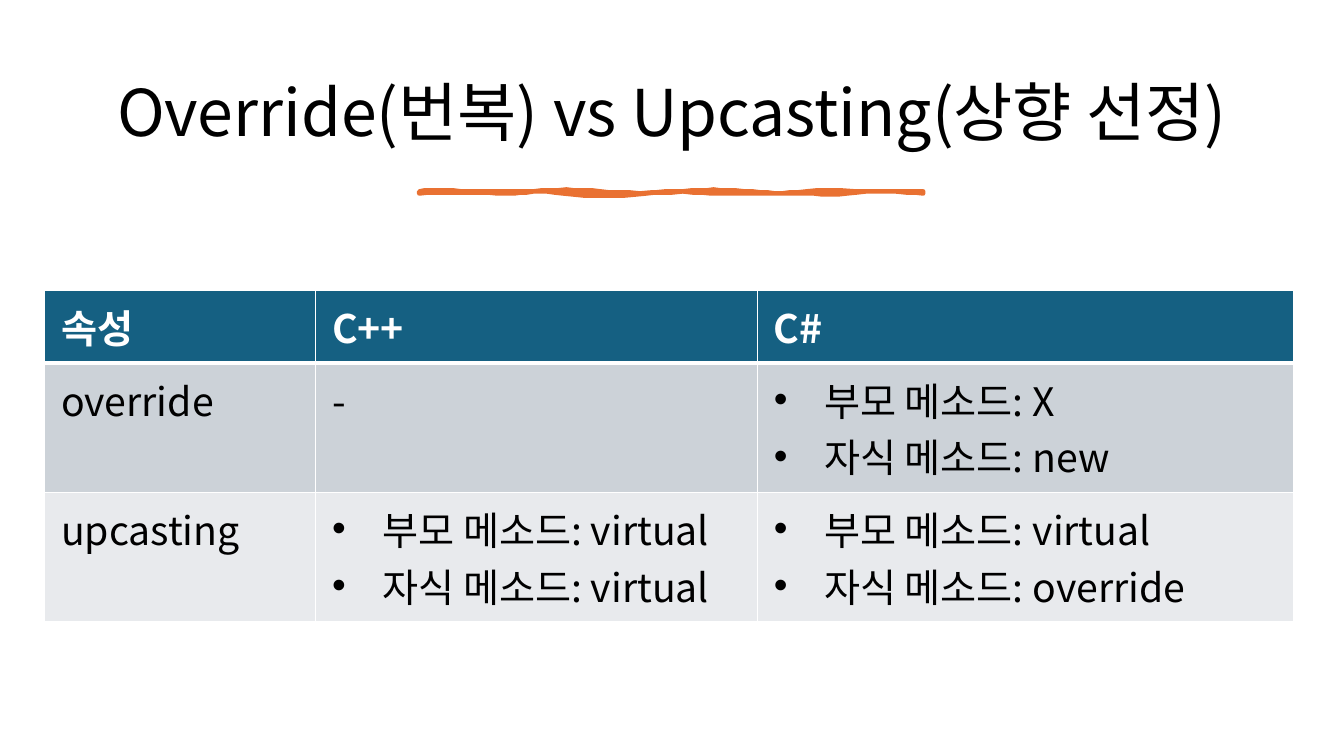
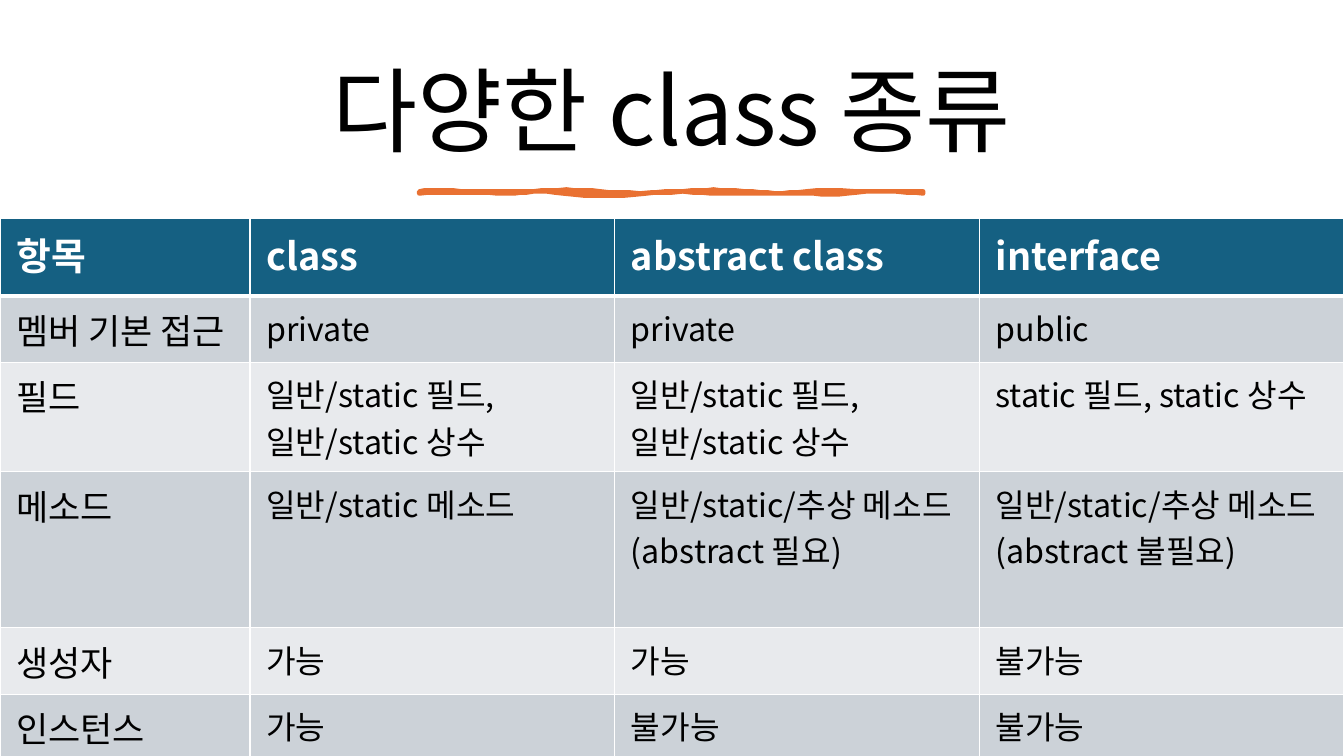
from lxml import etree
from pptx import Presentation
from pptx.dml.color import RGBColor
from pptx.enum.text import MSO_ANCHOR, MSO_AUTO_SIZE, PP_ALIGN
from pptx.oxml.ns import qn
from pptx.util import Cm, Pt

FONT = "Noto Sans CJK KR"
BLACK, WHITE, ORANGE = "000000", "FFFFFF", "E97132"
HEADER, BANDS = "156082", ("CCD2D8", "E8EAED")
BULLET = "• "


def color(hex_text):
    return RGBColor.from_string(hex_text)


def add_text(paragraph, text, size, ink, bold=False):
    run = paragraph.add_run()
    run.text = text
    run.font.color.rgb = color(ink)
    for name, value in {"name": FONT, "size": Pt(size), "bold": bold}.items():
        setattr(run.font, name, value)
    etree.SubElement(run._r.get_or_add_rPr(), qn("a:ea"), typeface=FONT)


# Underline stroke: start point and Bezier segments, in hundredths of an inch
STROKE_START = (416, 190)
STROKE = [
    (428, 187, 454, 190, 473, 190), (492, 189, 509, 191, 529, 190),
    (549, 188, 574, 188, 596, 190), (617, 192, 653, 192, 677, 190),
    (702, 188, 714, 188, 739, 190), (763, 191, 774, 193, 800, 190),
    (826, 187, 867, 192, 916, 190), (917, 191, 916, 191, 916, 192),
    (895, 190, 865, 188, 840, 192), (815, 195, 801, 190, 779, 192),
    (756, 193, 747, 192, 717, 192), (687, 192, 667, 188, 641, 192),
    (614, 195, 585, 195, 559, 192), (534, 188, 523, 192, 503, 192),
    (483, 191, 438, 190, 416, 192),
]
STEPS = 8
stroke_points = [STROKE_START]
for x1, y1, x2, y2, x3, y3 in STROKE:
    x0, y0 = stroke_points[-1]
    for step in range(1, STEPS + 1):
        t = step / STEPS
        weights = ((1 - t) ** 3, 3 * t * (1 - t) ** 2, 3 * t * t * (1 - t), t ** 3)
        stroke_points.append(tuple(
            sum(w * v for w, v in zip(weights, values))
            for values in ((x0, x1, x2, x3), (y0, y1, y2, y3))))

# Slide contents: the first row of each table is its header
SLIDES = [
    {"title": "Override(번복) vs Upcasting(상향 선정)", "title_size": 46,
     "left": 1.13, "top": 7.32, "sizes": {"header": 28, "label": 28, "body": 28},
     "columns": [6.83, 11.13, 13.51], "heights": [1.8, 3.25, 3.25],
     "rows": [
         ["속성", "C++", "C#"],
         ["override", "-", "• 부모 메소드: X\n• 자식 메소드: new"],
         ["upcasting", "• 부모 메소드: virtual\n• 자식 메소드: virtual",
          "• 부모 메소드: virtual\n• 자식 메소드: override"]]},
    {"title": "다양한 class 종류", "title_size": 66,
     "left": 0, "top": 5.51, "sizes": {"header": 27, "label": 25, "body": 23},
     "columns": [6.3, 9.19, 9.19, 9.19],
     "heights": [1.95, 1.66, 2.75, 3.93, 1.68, 1.68],
     "rows": [
         ["항목", "class", "abstract class", "interface"],
         ["멤버 기본 접근", "private", "private", "public"],
         ["필드", "일반/static 필드, 일반/static 상수",
          "일반/static 필드, 일반/static 상수", "static 필드, static 상수"],
         ["메소드", "일반/static 메소드", "일반/static/추상 메소드(abstract 필요)",
          "일반/static/추상 메소드(abstract 불필요)"],
         ["생성자", "가능", "가능", "불가능"],
         ["인스턴스", "가능", "불가능", "불가능"]]},
]

presentation = Presentation()
presentation.slide_width, presentation.slide_height = Cm(33.87), Cm(19.05)

for content in SLIDES:
    slide = presentation.slides.add_slide(presentation.slide_layouts[5])

    # Title
    title = slide.shapes.title
    title.left, title.top, title.width, title.height = Cm(1.78), Cm(1.17), Cm(30.3), Cm(3.48)
    frame = title.text_frame
    frame.word_wrap = True
    frame.auto_size = MSO_AUTO_SIZE.NONE
    frame.vertical_anchor = MSO_ANCHOR.MIDDLE
    paragraph = frame.paragraphs[0]
    paragraph.alignment = PP_ALIGN.CENTER
    paragraph.line_spacing = 0.9
    add_text(paragraph, content["title"], content["title_size"], BLACK)

    # Hand-drawn underline
    builder = slide.shapes.build_freeform(*STROKE_START, scale=Cm(0.0254))
    builder.add_line_segments(stroke_points[1:], close=True)
    underline = builder.convert_to_shape()
    underline.shadow.inherit = False
    underline.fill.solid()
    underline.fill.fore_color.rgb = color(ORANGE)
    underline.line.color.rgb = color(ORANGE)
    underline.line.width = Pt(3.25)

    # Table grid
    rows, columns, heights = content["rows"], content["columns"], content["heights"]
    table = slide.shapes.add_table(
        len(rows), len(columns), Cm(content["left"]), Cm(content["top"]),
        Cm(sum(columns)), Cm(sum(heights))).table
    for column, width in zip(table.columns, columns):
        column.width = Cm(width)
    for row, height in zip(table.rows, heights):
        row.height = Cm(height)

    # Table cells
    for row_index, row_texts in enumerate(rows):
        is_header = row_index == 0
        for column_index, text in enumerate(row_texts):
            cell = table.cell(row_index, column_index)
            cell.margin_left = cell.margin_right = Cm(0.41)
            cell.margin_top = cell.margin_bottom = Cm(0.2)

            # Borders, with a thick rule under the header
            thick_side = {0: "lnB", 1: "lnT"}.get(row_index)
            for side in ("lnL", "lnR", "lnT", "lnB"):
                width = Pt(3 if side == thick_side else 1)
                border = etree.SubElement(
                    cell._tc.get_or_add_tcPr(), qn(f"a:{side}"), w=str(width))
                fill = etree.SubElement(border, qn("a:solidFill"))
                etree.SubElement(fill, qn("a:srgbClr"), val=WHITE)
            cell.fill.solid()
            cell.fill.fore_color.rgb = color(HEADER if is_header else BANDS[(row_index - 1) % 2])

            role = "header" if is_header else "body" if column_index else "label"
            for line_index, line in enumerate(text.split("\n")):
                frame = cell.text_frame
                paragraph = frame.add_paragraph() if line_index else frame.paragraphs[0]
                if line.startswith(BULLET):
                    properties = paragraph._p.get_or_add_pPr()
                    properties.set("marL", str(Cm(1.27)))
                    properties.set("indent", str(-Cm(1.27)))
                    etree.SubElement(properties, qn("a:buFont"), typeface="Arial")
                    etree.SubElement(properties, qn("a:buChar"), char="•")
                add_text(paragraph, line.removeprefix(BULLET), content["sizes"][role],
                         WHITE if is_header else BLACK, is_header)

presentation.save("out.pptx")
